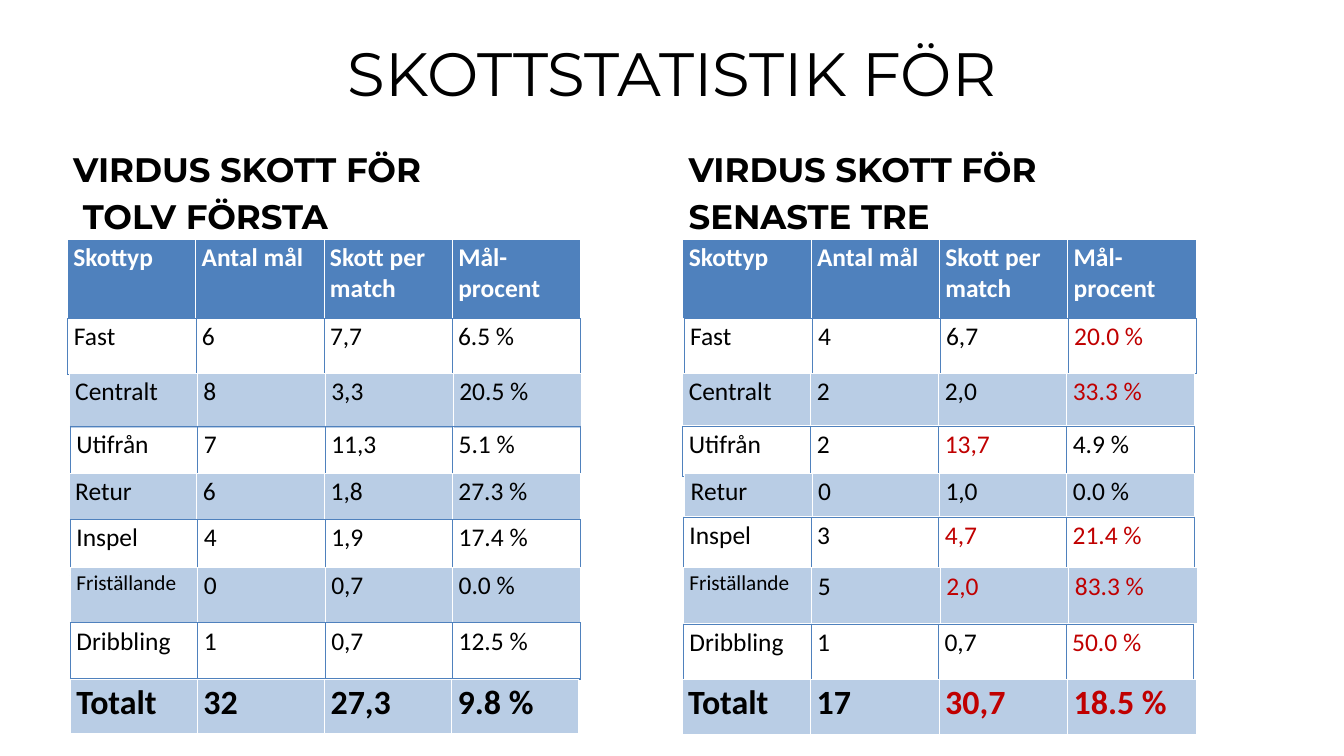
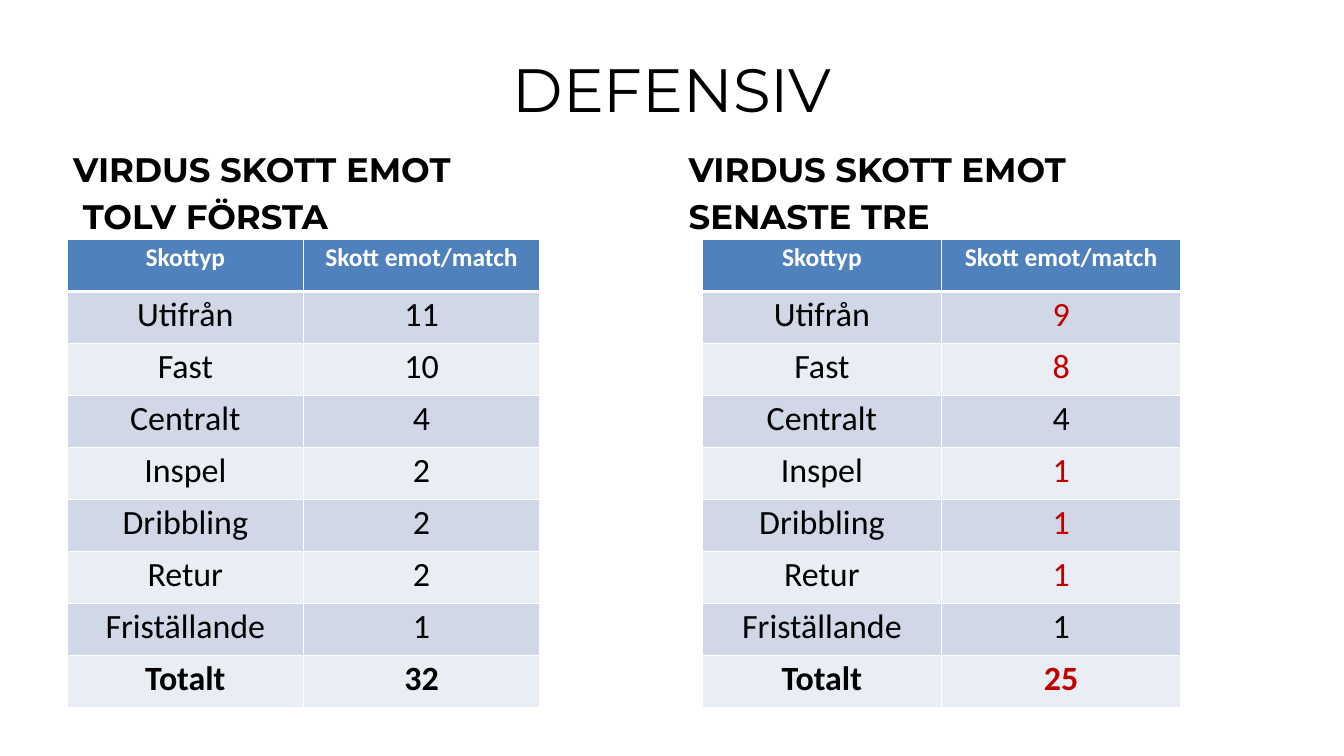
import dataclasses
import pptx
import pptx.dml.color
import pptx.enum.text
import pptx.oxml
import pptx.oxml.ns
import pptx.util

Pt = pptx.util.Pt
RGB = pptx.dml.color.RGBColor
ALIGN = pptx.enum.text.PP_ALIGN
ANCHOR = pptx.enum.text.MSO_ANCHOR

BLACK = RGB(0x00, 0x00, 0x00)
WHITE = RGB(0xFF, 0xFF, 0xFF)
RED = RGB(0xC0, 0x00, 0x00)
BLUE = RGB(0x4F, 0x81, 0xBD)
PALE = RGB(0xB9, 0xCD, 0xE5)
BAND = RGB(0xD0, 0xD8, 0xE8)
LIGHT = RGB(0xE9, 0xED, 0xF4)

WIDE, HIGH = 1583.28, 890.64
LEFT, RIGHT, TOP = 79.2, 804.2, 282.2


@dataclasses.dataclass
class Look:
    """Style of one table row; lead is the size of its first cell."""
    fill: RGB = None
    line: RGB = WHITE
    base: float = 1
    size: float = 30
    lead: float = None
    bold: bool = False
    ink: RGB = BLACK
    align: ALIGN = ALIGN.LEFT


HEAD = Look(BLUE, base=3, bold=True, ink=WHITE)
PLAIN = Look(line=BLUE, base=2)
SHADE = Look(PALE, base=3)
SMALL = dataclasses.replace(SHADE, lead=25)
TOTAL = dataclasses.replace(SHADE, size=40, bold=True)
MID = dataclasses.replace(HEAD, align=ALIGN.CENTER)
ODD = Look(BAND, size=40, align=ALIGN.CENTER)
EVEN = dataclasses.replace(ODD, fill=LIGHT)
SUM = dataclasses.replace(EVEN, bold=True)


class Deck:
    def __init__(self):
        self.prs = pptx.Presentation()
        self.prs.slide_width, self.prs.slide_height = Pt(WIDE), Pt(HIGH)
        self.slide = None

    def page(self, title, top, heads):
        """Start a slide with its title and two column headings."""
        self.slide = self.prs.slides.add_slide(self.prs.slide_layouts[6])
        self.text(LEFT, top, 1424.9, 94.3, [title], 72, False,
                  ALIGN.CENTER, ANCHOR.MIDDLE)
        for left, lines in zip((LEFT, RIGHT), heads):
            self.text(left, 157, 699.8, 125.3, lines, 40, True,
                      ALIGN.LEFT, ANCHOR.BOTTOM)

    def text(self, left, top, width, height, lines, size, bold, align, anchor):
        box = self.slide.shapes.add_textbox(Pt(left), Pt(top), Pt(width), Pt(height))
        frame = box.text_frame
        frame.word_wrap = True
        frame.vertical_anchor = anchor
        for i, line in enumerate(lines):
            para = frame.add_paragraph() if i else frame.paragraphs[0]
            para.text = line
            if i:
                para.space_before = Pt(size * 0.2)
            self.style(para, "Montserrat", size, bold, BLACK, align)

    def style(self, para, name, size, bold, ink, align):
        para.alignment = align
        font = para.font
        font.name, font.size, font.bold = name, Pt(size), bold
        font.color.rgb = ink

    def table(self, left, top, width, rows):
        """Rows are (height, look, values); a leading * marks a red value."""
        count = len(rows[0][2])
        high = sum(row[0] for row in rows)
        table = self.slide.shapes.add_table(
            len(rows), count, Pt(left), Pt(top), Pt(width), Pt(high)).table
        table.first_row = table.horz_banding = False
        for col in table.columns:
            col.width = Pt(width / count)
        for i, (height, look, values) in enumerate(rows):
            table.rows[i].height = Pt(height)
            for j, value in enumerate(values):
                size = look.size if j else look.lead or look.size
                self.cell(table.cell(i, j), value, look, size)

    def cell(self, cell, value, look, size):
        # Borders come before the fill in the cell properties
        for side in "LRTB":
            self.edge(cell, side, look.line, look.base if side == "B" else 1)
        if look.fill is None:
            cell.fill.background()
        else:
            cell.fill.solid()
            cell.fill.fore_color.rgb = look.fill
        para = cell.text_frame.paragraphs[0]
        para.text = value.lstrip("*")
        ink = RED if value.startswith("*") else look.ink
        self.style(para, "Calibri", size, look.bold, ink, look.align)

    def edge(self, cell, side, color, width):
        space = pptx.oxml.ns.nsdecls("a")
        cell._tc.get_or_add_tcPr().append(pptx.oxml.parse_xml(
            f'<a:ln{side} {space} w="{Pt(width)}"><a:solidFill>'
            f'<a:srgbClr val="{color}"/></a:solidFill></a:ln{side}>'))


# Shot rows as separate strips: left, top, width, height, look, values
TITLES = ("Skottyp", "Antal mål", "Skott per match", "Mål- procent")
STRIPS = [
    (LEFT, TOP, 604.8, 94.3, HEAD, TITLES),
    (RIGHT, TOP, 604.8, 94.3, HEAD, TITLES),
    (79.9, 375.1, 603.4, 66.2, Look(WHITE, BLUE), ("Fast", "6", "7,7", "6.5 %")),
    (81.4, 439.9, 603.4, 66.2, SHADE, ("Centralt", "8", "3,3", "20.5 %")),
    (82.8, 501.8, 600.5, 59, PLAIN, ("Utifrån", "7", "11,3", "5.1 %")),
    (81.4, 558, 601.9, 55.4, SHADE, ("Retur", "6", "1,8", "27.3 %")),
    (82.8, 612, 600.5, 66.2, PLAIN, ("Inspel", "4", "1,9", "17.4 %")),
    (82.8, 668.2, 600.5, 66.2, SMALL, ("Friställande", "0", "0,7", "0.0 %")),
    (82.8, 733.7, 600.5, 66.2, PLAIN, ("Dribbling", "1", "0,7", "12.5 %")),
    (82.8, 799.9, 599, 65.5, TOTAL, ("Totalt", "32", "27,3", "9.8 %")),
    (805.7, 375.1, 603.4, 64.8, PLAIN, ("Fast", "4", "6,7", "*20.0 %")),
    (804.2, 439.9, 603.4, 61.9, SHADE, ("Centralt", "2", "2,0", "*33.3 %")),
    (804.2, 502.6, 603.4, 59, PLAIN, ("Utifrån", "2", "*13,7", "4.9 %")),
    (806.4, 558, 600.5, 51.1, SHADE, ("Retur", "0", "1,0", "0.0 %")),
    (805, 609.1, 601.9, 59.8, PLAIN, ("Inspel", "3", "*4,7", "*21.4 %")),
    (805, 668.9, 605.5, 66.2, SMALL, ("Friställande", "5", "*2,0", "*83.3 %")),
    (805, 735.1, 601.2, 66.2, PLAIN, ("Dribbling", "1", "0,7", "*50.0 %")),
    (803.5, 799.9, 605.5, 66.2, TOTAL, ("Totalt", "17", "*30,7", "*18.5 %")),
]

# Shots against: left, width, one value per shot type
TYPES = ("Utifrån", "Fast", "Centralt", "Inspel", "Dribbling", "Retur",
         "Friställande", "Totalt")
AGAINST = [
    (LEFT, 556.6, ("11", "10", "4", "2", "2", "2", "1", "32")),
    (827.3, 563.8, ("*9", "*8", "4", "*1", "*1", "*1", "1", "*25")),
]


def main():
    deck = Deck()

    # Shots for
    deck.page("SKOTTSTATISTIK FÖR", 37.4,
              [("VIRDUS SKOTT FÖR", " TOLV FÖRSTA"),
               ("VIRDUS SKOTT FÖR", "SENASTE TRE")])
    for left, top, width, height, look, values in STRIPS:
        deck.table(left, top, width, [(height, look, values)])

    # Shots against
    deck.page("DEFENSIV", 56.9,
              [("VIRDUS SKOTT EMOT", " TOLV FÖRSTA"),
               ("VIRDUS SKOTT EMOT", "SENASTE TRE")])
    looks = [MID] + [ODD, EVEN] * 3 + [ODD, SUM]
    for left, width, shots in AGAINST:
        pairs = [("Skottyp", "Skott emot/match"), *zip(TYPES, shots)]
        deck.table(left, TOP, width,
                   [(61.2, look, pair) for look, pair in zip(looks, pairs)])

    deck.prs.save("out.pptx")


if __name__ == "__main__":
    main()
